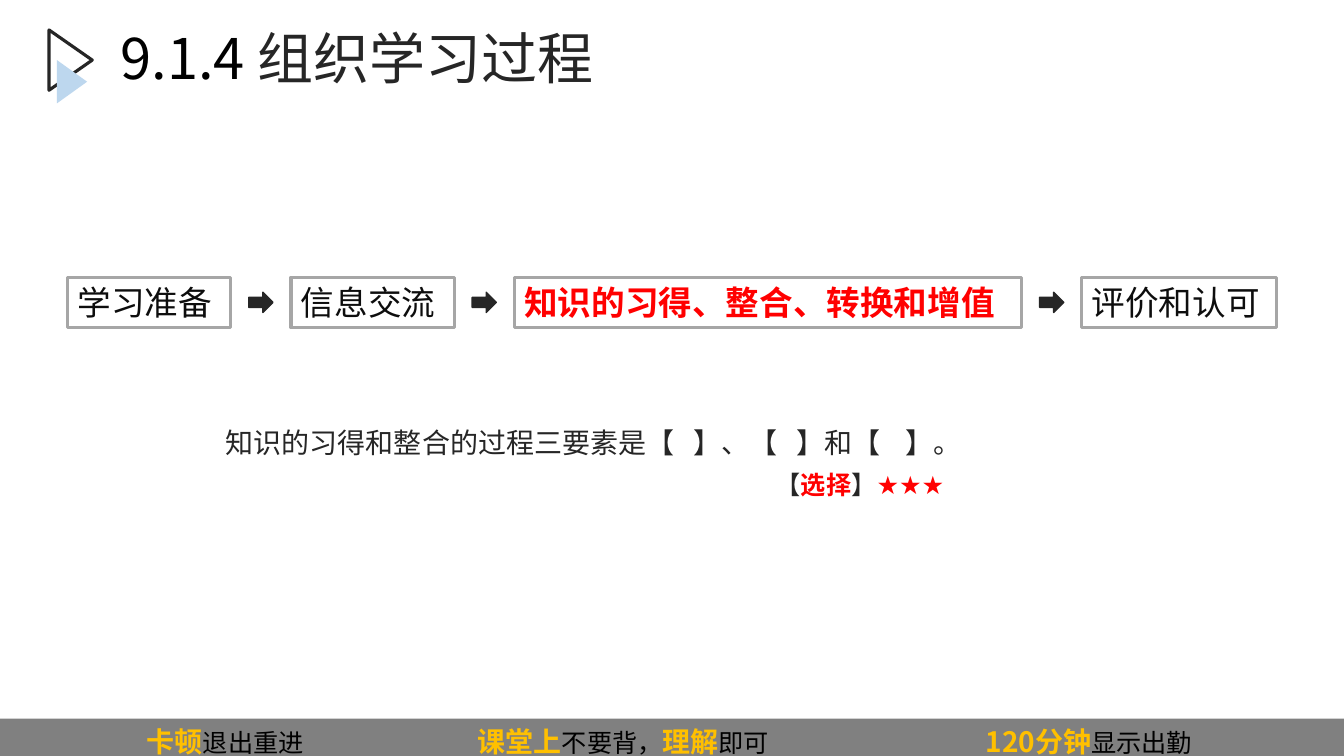
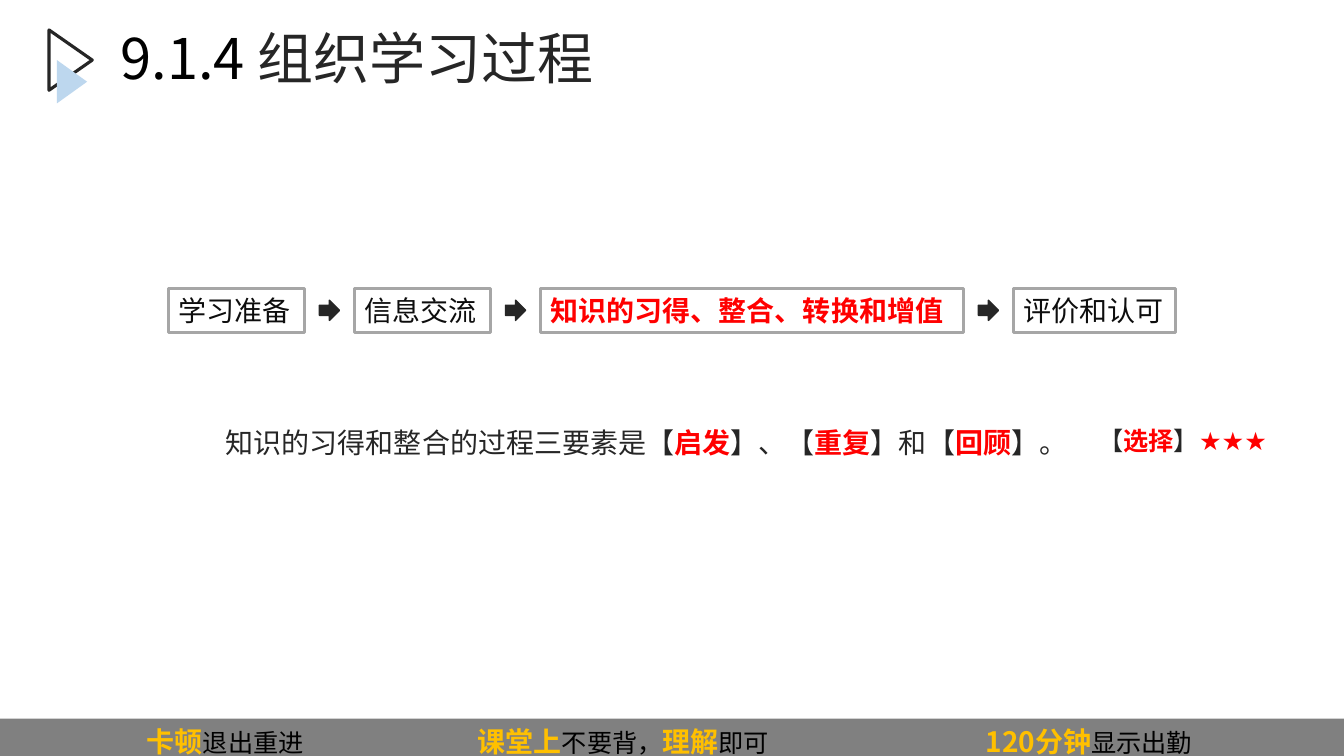
import pptx
import pptx.util
from lxml import etree
from pptx.dml.color import RGBColor
from pptx.enum.shapes import MSO_SHAPE
from pptx.enum.text import MSO_ANCHOR, MSO_AUTO_SIZE, PP_ALIGN
from pptx.oxml.ns import qn
from pptx.util import Cm

# Shared look
SLIDE_W, SLIDE_H = 33.87, 19.05
CJK_FONT, TAG_FONT = "Noto Sans CJK SC", "DejaVu Sans"
DARK, INK, BLACK = "262626", "0D0D0D", "000000"
RED, GOLD, PALE_BLUE = "FF0000", "FFC000", "BDD7EE"
GREY, BORDER = "808080", "A6A6A6"

# Shared wording
TITLE = [("9.1.4 ", BLACK, False), ("组织学习过程", DARK, False)]
TAG = [("【", DARK, False), ("选择", RED, True), ("】", DARK, False),
       ("★★★", RED, False)]
REMINDERS = [("\t卡顿", True), ("退出重进", False),
             ("\t课堂上", True), ("不要背，", False),
             ("理解", True), ("即可", False),
             ("\t120分钟", True), ("显示出勤", False)]
REMINDER_STOPS = [3.45, 11.79, 24.59]

# Process steps: text, width at 24 pt, key step or not
STEPS = [("学习准备", 4.11, False), ("信息交流", 4.11, False),
         ("知识的习得、整合、转换和增值", 12.78, True),
         ("评价和认可", 4.9, False)]
STEP_GAP, ARROW_W, ARROW_H = 1.52, 0.61, 0.51


def rgb(color):
    return RGBColor.from_string(color)


def write(frame, runs, size, font=CJK_FONT, anchor=MSO_ANCHOR.MIDDLE):
    """Fill one left-aligned paragraph with (text, color, bold[, size]) runs."""
    frame.word_wrap = True
    frame.auto_size = MSO_AUTO_SIZE.NONE
    frame.vertical_anchor = anchor
    paragraph = frame.paragraphs[0]
    paragraph.alignment = PP_ALIGN.LEFT
    paragraph.font.name = font
    paragraph.font.size = pptx.util.Pt(size)
    defaults = paragraph._p.pPr.find(qn("a:defRPr"))
    etree.SubElement(defaults, qn("a:ea")).set("typeface", font)
    for text, color, bold, *own_size in runs:
        run = paragraph.add_run()
        run.text = text
        run.font.color.rgb = rgb(color)
        run.font.bold = bold
        if own_size:
            run.font.size = pptx.util.Pt(own_size[0])
    return paragraph


def add_box(slide, preset, left, top, width, height,
            fill=None, line=None, line_width=2.25):
    box = slide.shapes.add_shape(preset, Cm(left), Cm(top), Cm(width), Cm(height))
    box.shadow.inherit = False
    if fill:
        box.fill.solid()
        box.fill.fore_color.rgb = rgb(fill)
    else:
        box.fill.background()
    if line:
        box.line.color.rgb = rgb(line)
        box.line.width = pptx.util.Pt(line_width)
    else:
        box.line.fill.background()
    return box


def add_text(slide, left, top, width, height, runs, size, font=CJK_FONT):
    box = slide.shapes.add_textbox(Cm(left), Cm(top), Cm(width), Cm(height))
    write(box.text_frame, runs, size, font)


def add_tag(slide, left, top):
    add_text(slide, left, top, 4.95, 1.02, TAG, 18, TAG_FONT)


def add_note(slide, runs):
    add_text(slide, 5.44, 10.59, 21.69, 1.12, runs, 20)


def add_process(slide, middle, height, size):
    """Centre the row of steps on the slide, with an arrow in each gap."""
    scale = size / 24
    gap, arrow_w, arrow_h = STEP_GAP * scale, ARROW_W * scale, ARROW_H
    total = sum(width for _, width, _ in STEPS) * scale + gap * (len(STEPS) - 1)
    left = (SLIDE_W - total) / 2
    for index, (text, base_width, key) in enumerate(STEPS):
        if index:
            add_box(slide, MSO_SHAPE.RIGHT_ARROW, left - (gap + arrow_w) / 2,
                    middle - arrow_h / 2, arrow_w, arrow_h, DARK, DARK, 1)
        width = base_width * scale
        step = add_box(slide, MSO_SHAPE.RECTANGLE, left, middle - height / 2,
                       width, height, line=BORDER)
        step.text_frame.margin_right = 0
        write(step.text_frame, [(text, RED if key else INK, key)], size)
        left += width + gap


def build_layout(layout, slide):
    """Draw the title mark and the reminder band, then move them to the layout."""
    for holder in list(layout.placeholders):
        if holder.placeholder_format.idx:
            layout.shapes.element.remove(holder.element)

    outline = add_box(slide, MSO_SHAPE.ISOSCELES_TRIANGLE,
                      1.02, 0.97, 1.52, 1.09, line=DARK)
    accent = add_box(slide, MSO_SHAPE.ISOSCELES_TRIANGLE,
                     1.27, 1.68, 1.09, 0.76, fill=PALE_BLUE)
    outline.rotation = accent.rotation = 90

    band = add_box(slide, MSO_SHAPE.RECTANGLE, 0, 18.11, SLIDE_W, 1.12, fill=GREY)
    runs = [(text, GOLD if strong else BLACK, strong, 20 if strong else 18)
            for text, strong in REMINDERS]
    paragraph = write(band.text_frame, runs, 18)
    stops = etree.Element(qn("a:tabLst"))
    for position in REMINDER_STOPS:
        etree.SubElement(stops, qn("a:tab"), pos=str(Cm(position)), algn="l")
    paragraph._p.pPr.insert(0, stops)

    for part in (outline, accent, band):
        layout.shapes.element.append(part.element)


def add_slide(deck, layout):
    slide = deck.slides.add_slide(layout)
    title = slide.shapes.title
    title.left, title.top = Cm(2.79), Cm(0.66)
    title.width, title.height = Cm(19.89), Cm(2.36)
    paragraph = write(title.text_frame, TITLE, 40, anchor=MSO_ANCHOR.TOP)
    paragraph.line_spacing = 0.9
    return slide


def main():
    deck = pptx.Presentation()
    deck.slide_width, deck.slide_height = Cm(SLIDE_W), Cm(SLIDE_H)
    layout = deck.slide_layouts.get_by_name("Title Only")

    # Question
    question = add_slide(deck, layout)
    build_layout(layout, question)
    add_process(question, middle=7.62, height=1.27, size=24)
    add_note(question, [("知识的习得和整合的过程三要素是【   】、【   】和【    】。",
                         DARK, False)])
    add_tag(question, 19.3, 11.71)

    # Answer
    answer = add_slide(deck, layout)
    add_process(answer, middle=7.82, height=1.12, size=20)
    add_note(answer, [("知识的习得和整合的过程三要素是【", DARK, False),
                      ("启发", RED, True), ("】、【", DARK, False),
                      ("重复", RED, True), ("】和【", DARK, False),
                      ("回顾", RED, True), ("】。", DARK, False)])
    add_tag(answer, 27.43, 10.59)

    deck.save("out.pptx")


if __name__ == "__main__":
    main()
